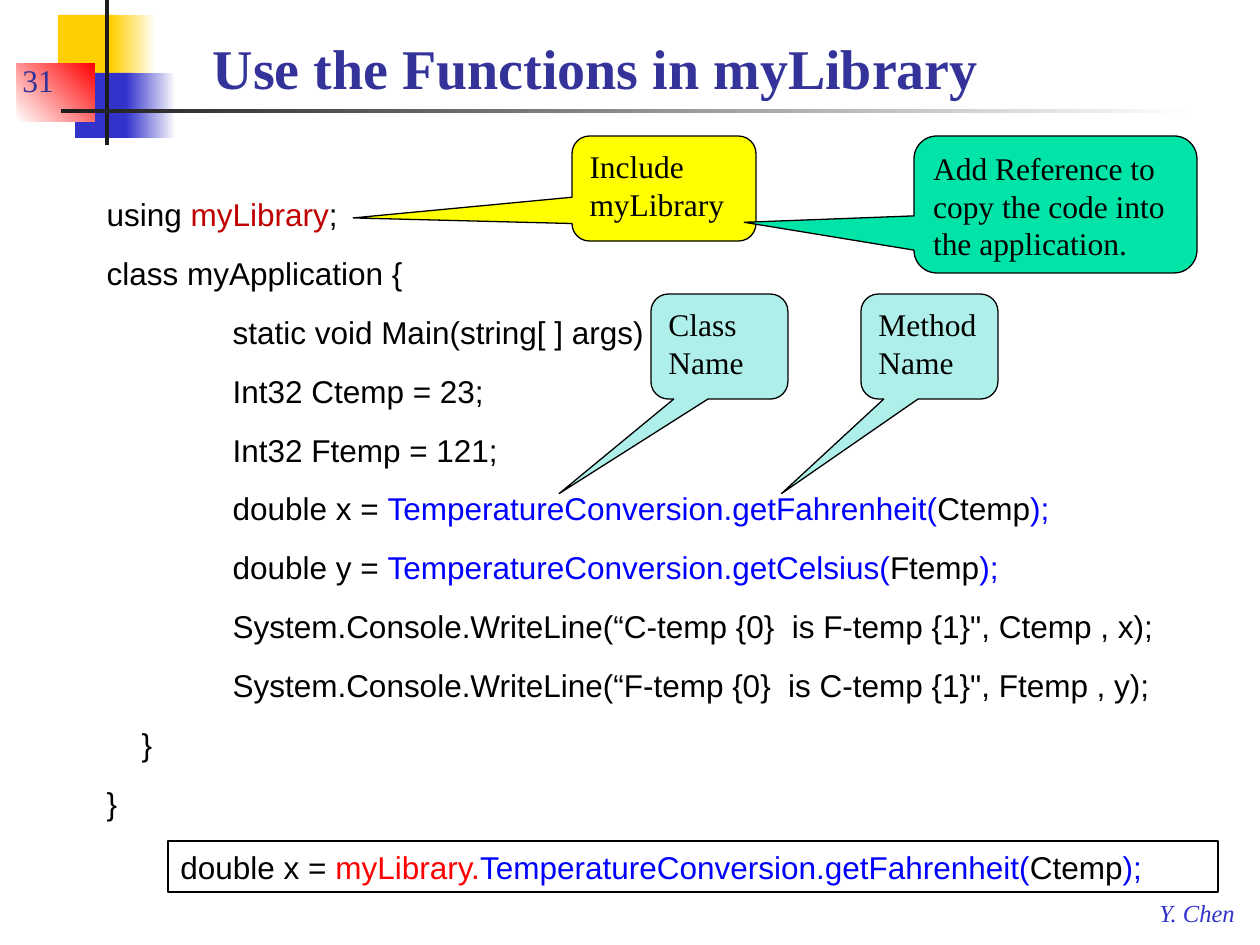
from lxml import etree
from pptx import Presentation
from pptx.dml.color import RGBColor
from pptx.enum.shapes import MSO_SHAPE
from pptx.enum.text import MSO_ANCHOR, MSO_AUTO_SIZE, PP_ALIGN
from pptx.oxml.ns import qn
from pptx.util import Pt

RECT = MSO_SHAPE.RECTANGLE
CALLOUT = MSO_SHAPE.ROUNDED_RECTANGULAR_CALLOUT
TOP, BOTTOM = MSO_ANCHOR.TOP, MSO_ANCHOR.BOTTOM
LEFT = PP_ALIGN.LEFT
NO_FIT = MSO_AUTO_SIZE.NONE

EMU_PER_INCH = 914400
PX_PER_INCH = 126
CODE_INDENT = 126
SERIF, SANS = "Times New Roman", "Arial"

BLACK = RGBColor(0x00, 0x00, 0x00)
WHITE = RGBColor(0xFF, 0xFF, 0xFF)
INK = RGBColor(0x1C, 0x1C, 0x1C)
GOLD = RGBColor(0xFF, 0xCF, 0x01)
INDIGO = RGBColor(0x33, 0x33, 0xCC)
NAVY = RGBColor(0x33, 0x33, 0x99)
RED = RGBColor(0xFF, 0x00, 0x00)
DARK_RED = RGBColor(0xC0, 0x00, 0x00)
BLUE = RGBColor(0x00, 0x00, 0xFF)
YELLOW = RGBColor(0xFF, 0xFF, 0x00)
GREEN = RGBColor(0x00, 0xE4, 0xA8)
AQUA = RGBColor(0xAF, 0xEF, 0xE9)

DECOR = [
    ((58, 15, 60, 65), [GOLD], 0),
    ((111, 15, 45, 65), [GOLD, WHITE], 0),
    ((75, 73, 58, 65), [INDIGO], 0),
    ((126, 73, 50, 65), [INDIGO, WHITE], 0),
    ((17, 63, 78, 59), [WHITE, RED], 45),
    ((105, 0, 4, 145), [INK], 0),
    ((61, 109, 1134, 4), [INK, WHITE], 0),
]

CALLOUTS = [
    ((651, 294, 137, 105), (-1.17, 1.4), AQUA, "Class Name"),
    ((861, 294, 137, 105), (-1.08, 1.4), AQUA, "Method Name"),
    ((572, 136, 184, 105), (-1.69, 0.28), YELLOW, "Include myLibrary"),
    ((914, 136, 283, 137), (-1.1, 0.13), GREEN,
     "Add Reference to copy the code into the application."),
]


def call_runs(method, argument):
    return [(f"TemperatureConversion.{method}(", BLUE), (argument, BLACK), (");", BLUE)]


CODE = [
    (0, [("using ", BLACK), ("myLibrary", DARK_RED), (";", BLACK)]),
    (0, [("class myApplication {", BLACK)]),
    (1, [("static void Main(string[ ] args)  {", BLACK)]),
    (1, [("Int32 Ctemp = 23;", BLACK)]),
    (1, [("Int32 Ftemp = 121;", BLACK)]),
    (1, [("double x = ", BLACK)] + call_runs("getFahrenheit", "Ctemp")),
    (1, [("double y = ", BLACK)] + call_runs("getCelsius", "Ftemp")),
    (1, [('System.Console.WriteLine(“C-temp {0}  is F-temp {1}", Ctemp , x);', BLACK)]),
    (1, [('System.Console.WriteLine(“F-temp {0}  is C-temp {1}", Ftemp , y);', BLACK)]),
    (0, [("    }", BLACK)]),
    (0, [("}", BLACK)]),
]
FULL_NAME = [("double x = ", BLACK), ("myLibrary.", RED)] + call_runs("getFahrenheit", "Ctemp")


def px(n):
    return n * EMU_PER_INCH // PX_PER_INCH


def place(sp, box):
    sp.left, sp.top, sp.width, sp.height = map(px, box)


def add_runs(p, runs, font=SERIF, size=18, bold=False, italic=False):
    p.alignment = LEFT
    for text, color in runs:
        r = p.add_run()
        r.text = text
        r.font.name, r.font.size = font, Pt(size)
        r.font.bold, r.font.italic = bold, italic
        r.font.color.rgb = color


def add_box(s, kind, box, colors=(), angle=0, outlined=False):
    sp = s.shapes.add_shape(kind, *map(px, box))
    sp.shadow.inherit = False
    if len(colors) == 2:
        sp.fill.gradient()
        sp.fill.gradient_angle = angle
        for stop, color in zip(sp.fill.gradient_stops, colors):
            stop.color.rgb = color
    elif colors:
        sp.fill.solid()
        sp.fill.fore_color.rgb = colors[0]
    else:
        sp.fill.background()
    if outlined:
        sp.line.color.rgb = BLACK
        sp.line.width = Pt(0.75)
    else:
        sp.line.fill.background()
    return sp


def add_callout(s, box, tip, color, text):
    sp = add_box(s, CALLOUT, box, [color], outlined=True)
    sp.adjustments[0], sp.adjustments[1] = tip
    tf = sp.text_frame
    tf.vertical_anchor = TOP
    add_runs(tf.paragraphs[0], [(text, BLACK)])


def add_text(s, box, text, color, size=18, italic=False, wrap=True, anchor=TOP):
    tf = s.shapes.add_textbox(*map(px, box)).text_frame
    tf.word_wrap = wrap
    tf.vertical_anchor = anchor
    add_runs(tf.paragraphs[0], [(text, color)], size=size, italic=italic)


def fill_title(s):
    sp = s.shapes.title
    place(sp, (200, 21, 1050, 86))
    tf = sp.text_frame
    tf.auto_size = NO_FIT
    tf.vertical_anchor = BOTTOM
    add_runs(tf.paragraphs[0], [("Use the Functions in myLibrary", NAVY)], size=32, bold=True)


def set_code_layout(p, level):
    pPr = p._p.get_or_add_pPr()
    pPr.set("marL", str(px(level * CODE_INDENT)))
    pPr.set("indent", "0")
    etree.SubElement(pPr, qn("a:buNone"))


def fill_code(s):
    sp = s.placeholders[1]
    place(sp, (94, 189, 1081, 662))
    tf = sp.text_frame
    tf.auto_size = NO_FIT
    for i, (level, runs) in enumerate(CODE):
        p = tf.add_paragraph() if i else tf.paragraphs[0]
        set_code_layout(p, level)
        p.space_before = Pt(6 if i else 0)
        p.space_after = Pt(6)
        add_runs(p, runs, SANS)


def main():
    prs = Presentation()
    prs.slide_width, prs.slide_height = px(1260), px(945)
    s = prs.slides.add_slide(prs.slide_layouts[1])
    for box, colors, angle in DECOR:
        add_box(s, RECT, box, colors, angle)
    add_text(s, (1147, 892, 103, 42), "Y. Chen", INDIGO, size=14, italic=True, wrap=False)
    fill_title(s)
    fill_code(s)
    add_text(s, (10, 42, 95, 63), "31", NAVY, anchor=BOTTOM)
    for callout in CALLOUTS:
        add_callout(s, *callout)
    sp = add_box(s, RECT, (168, 841, 1050, 51), outlined=True)
    add_runs(sp.text_frame.paragraphs[0], FULL_NAME, SANS)
    prs.save("out.pptx")


if __name__ == "__main__":
    main()
